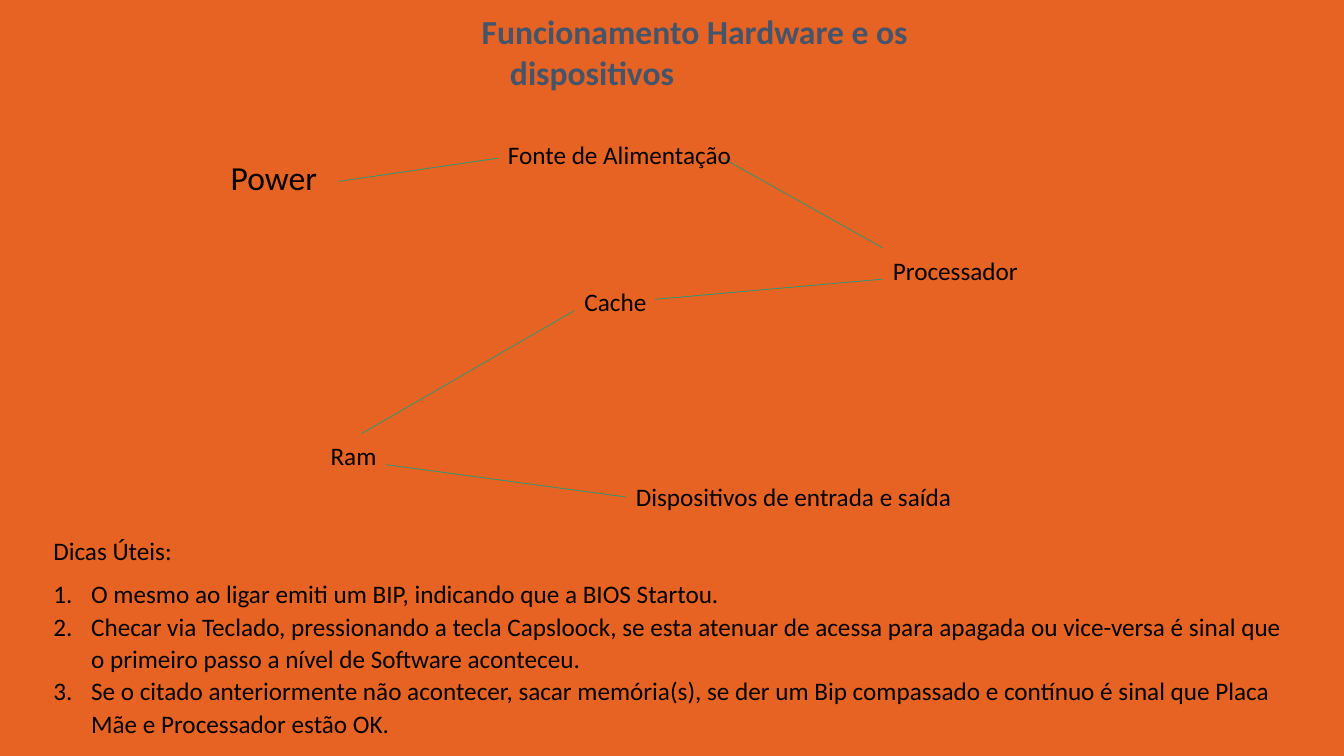
import pptx
import pptx.dml.color
import pptx.enum.shapes
import pptx.enum.text
import pptx.util
import lxml.etree

Pt = pptx.util.Pt
RGB = pptx.dml.color.RGBColor.from_string

THEME = {
    "font": "Calibri", "back": "E76323", "title": "44546A", "text": "000000",
    "line": "1D9A78", "large": 24, "small": 18, "stroke": 0.5,
}
TITLE = "Funcionamento Hardware e os dispositivos"
PARTS = [
    ("Power", 157.7, 106.6, 93.6, 38.2, "large"),
    ("Fonte de Alimentação", 355.7, 94.3, 213.8, 31, "small"),
    ("Processador", 630.7, 177.1, 128.2, 31, "small"),
    ("Cache", 410.4, 199.4, 68.4, 31, "small"),
    ("Ram", 229, 309.6, 58.3, 31, "small"),
    ("Dispositivos de entrada e saída", 447.1, 339.1, 300.2, 31, "small"),
]
LINKS = [
    (241.9, 129.6, 355.7, 113),
    (516.2, 113, 630.7, 177.1),
    (630.7, 199.4, 468, 213.8),
    (410.4, 221.8, 258.5, 309.6),
    (447.1, 355, 275.8, 331.9),
]
HEAD = "Dicas Úteis:"
TIPS = [
    "O mesmo ao ligar emiti um BIP, indicando que a BIOS Startou.",
    "Checar via Teclado, pressionando a tecla Capsloock, se esta atenuar de acessa para apagada ou vice-versa é sinal que o primeiro passo a nível de Software aconteceu.",
    "Se o citado anteriormente não acontecer, sacar memória(s), se der um Bip compassado e contínuo é sinal que Placa Mãe e Processador estão OK.",
]


def add_box(slide, left, top, width, height, wrap=False, grow=True):
    frame = slide.shapes.add_textbox(Pt(left), Pt(top), Pt(width), Pt(height)).text_frame
    frame.word_wrap = wrap
    if grow:
        frame.auto_size = pptx.enum.text.MSO_AUTO_SIZE.SHAPE_TO_FIT_TEXT
    return frame


def write(para, text, size, color="text", bold=False):
    para.text = text
    font = para.font
    font.name = THEME["font"]
    font.size = Pt(THEME[size])
    font.bold = bold
    font.color.rgb = RGB(THEME[color])


def indent(para, depth):
    props = para._p.get_or_add_pPr()
    props.set("marL", str(Pt(depth)))
    props.set("indent", str(-Pt(depth)))
    return props


def space(para, after):
    para.line_spacing = 1.07
    para.space_after = Pt(after)


def add_link(slide, x1, y1, x2, y2):
    link = slide.shapes.add_connector(
        pptx.enum.shapes.MSO_CONNECTOR.STRAIGHT, Pt(x1), Pt(y1), Pt(x2), Pt(y2))
    link.line.width = Pt(THEME["stroke"])
    link.line.color.rgb = RGB(THEME["line"])
    lxml.etree.SubElement(link._element.spPr, pptx.oxml.ns.qn("a:effectLst"))


def add_tips(slide):
    frame = add_box(slide, 31, 377.3, 895, 155.5, wrap=True)
    para = frame.paragraphs[0]
    space(para, 8)
    write(para, HEAD, "small")
    for tip in TIPS:
        para = frame.add_paragraph()
        space(para, 8 if tip == TIPS[-1] else 0)
        props = indent(para, 27)
        mark = lxml.etree.SubElement(props, pptx.oxml.ns.qn("a:buAutoNum"))
        mark.set("type", "arabicPeriod")
        write(para, tip, "small")


def main():
    deck = pptx.Presentation()
    deck.slide_width, deck.slide_height = Pt(960), Pt(540)
    slide = deck.slides.add_slide(deck.slide_layouts[6])
    fill = slide.background.fill
    fill.solid()
    fill.fore_color.rgb = RGB(THEME["back"])

    para = add_box(slide, 337, 4.5, 371.5, 21.6, wrap=True, grow=False).paragraphs[0]
    indent(para, 20.2)
    write(para, TITLE, "large", "title", True)

    for link in LINKS:
        add_link(slide, *link)
    for text, left, top, width, height, size in PARTS:
        para = add_box(slide, left, top, width, height).paragraphs[0]
        space(para, 8)
        write(para, text, size)
    add_tips(slide)
    deck.save("out.pptx")


if __name__ == "__main__":
    main()
